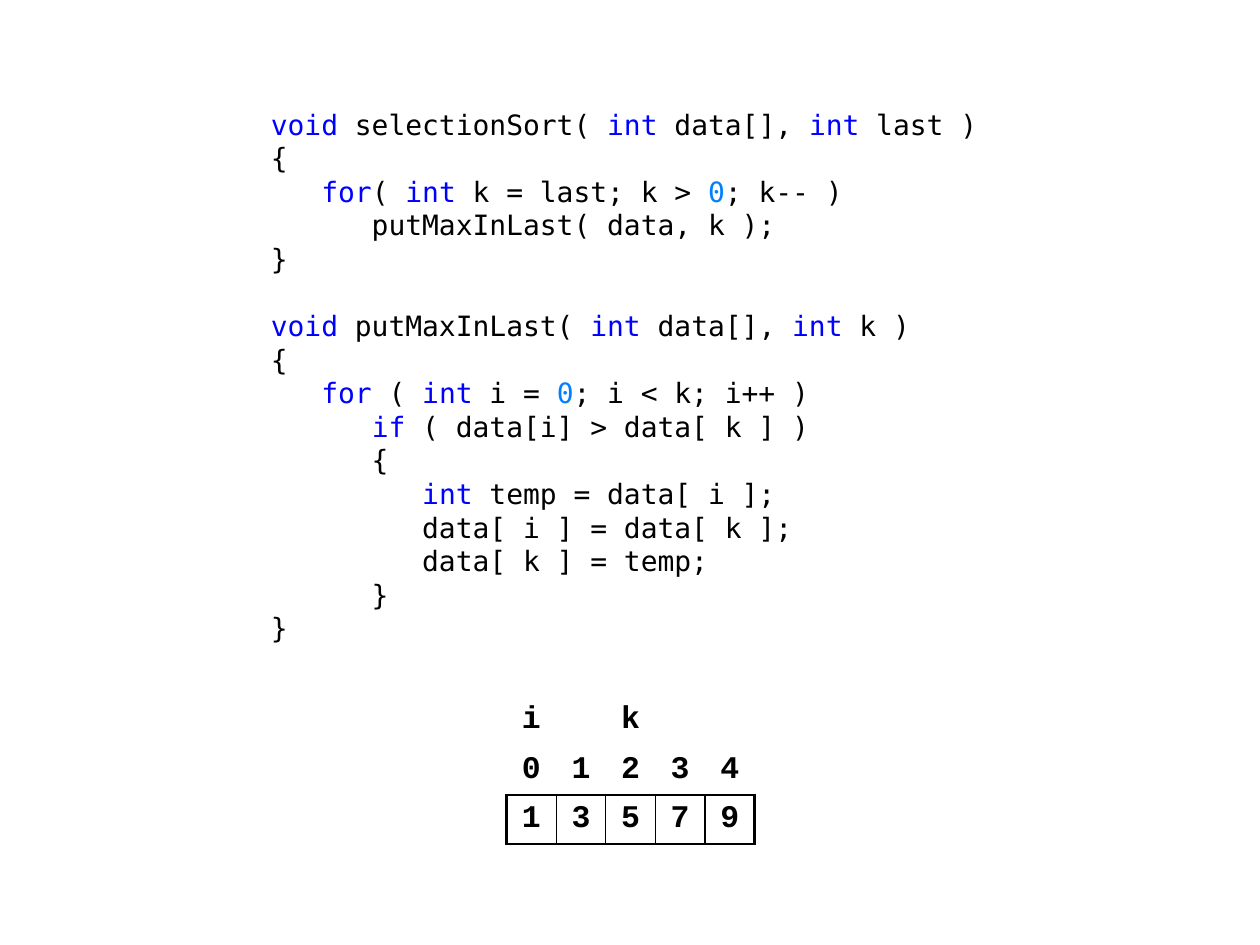
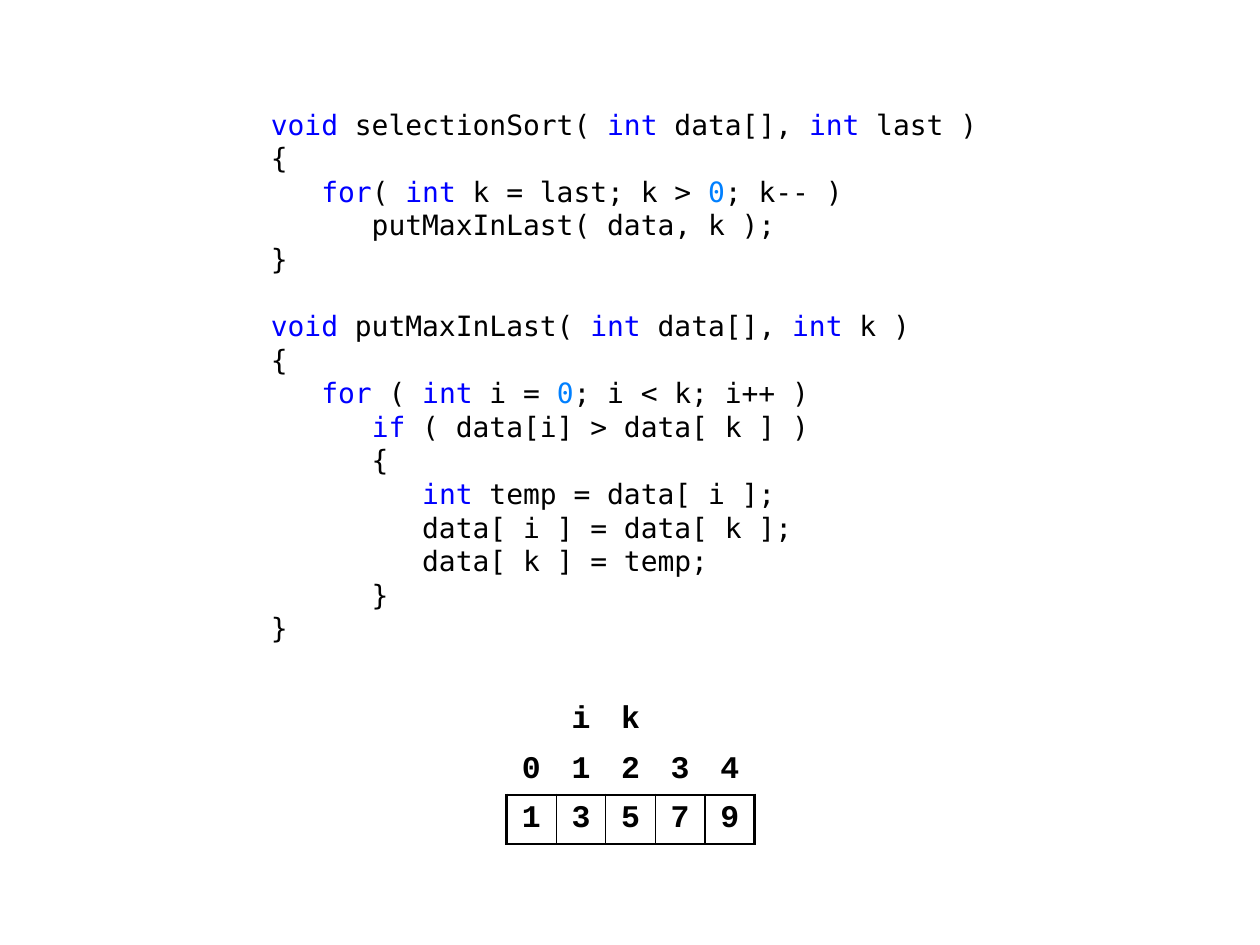
"""Build two steps of a selection sort trace, each with code above an array."""
from dataclasses import dataclass
from itertools import groupby

from lxml import etree
from pptx import Presentation
from pptx.dml.color import RGBColor
from pptx.enum.text import MSO_ANCHOR, MSO_AUTO_SIZE, PP_ALIGN
from pptx.oxml.ns import qn
from pptx.presentation import Presentation as Deck
from pptx.slide import Slide
from pptx.table import _Cell
from pptx.text.text import _Paragraph
from pptx.util import Inches, Pt

TOP, MIDDLE = MSO_ANCHOR.TOP, MSO_ANCHOR.MIDDLE
NO_AUTOFIT = MSO_AUTO_SIZE.NONE
LEFT, CENTER = PP_ALIGN.LEFT, PP_ALIGN.CENTER

BLACK = RGBColor(0x00, 0x00, 0x00)
WHITE = RGBColor(0xFF, 0xFF, 0xFF)
KEYWORD_BLUE = RGBColor(0x00, 0x00, 0xFF)
NUMBER_BLUE = RGBColor(0x00, 0x80, 0xFF)

CODE_FONT, ARRAY_FONT = "DejaVu Sans Mono", "Courier New"
CODE_SIZE, ARRAY_SIZE = Pt(16), Pt(18)
LINE_PITCH = Pt(19.2)
THICK, THIN = Pt(1.5), Pt(0.75)
KEYWORDS = {"void", "int", "for", "if"}

FUNCTIONS = (
    """void selectionSort( int data[], int last )
{
   for( int k = last; k > 0; k-- )
      putMaxInLast( data, k );
}""",
    """void putMaxInLast( int data[], int k )
{
   for ( int i = 0; i < k; i++ )
      if ( data[i] > data[ k ] )
      {
         int temp = data[ i ];
         data[ i ] = data[ k ];
         data[ k ] = temp;
      }
}""",
)


@dataclass(frozen=True)
class SortStep:
    """Values of the array and where its two indices stand."""

    i: int
    k: int
    values: tuple[int, ...] = (1, 3, 5, 7, 9)

    def rows(self) -> list[list[str]]:
        """Return the marker, index and value rows."""
        positions = range(len(self.values))
        markers = {self.i: "i", self.k: "k"}
        return [
            [markers.get(position, "") for position in positions],
            [str(position) for position in positions],
            [str(value) for value in self.values],
        ]


STEPS = (SortStep(i=0, k=2), SortStep(i=1, k=2))


def token_color(token: str) -> RGBColor:
    """Return the syntax colour of a token."""
    if token in KEYWORDS:
        return KEYWORD_BLUE
    return NUMBER_BLUE if token.isdigit() else BLACK


def write_code_line(paragraph: _Paragraph, line: str) -> None:
    """Add a line of code with one run per colour."""
    tokens = ["".join(group) for _, group in groupby(line, str.isalnum)]
    for color, group in groupby(tokens, token_color):
        run = paragraph.add_run()
        run.text = "".join(group)
        run.font.name = CODE_FONT
        run.font.size = CODE_SIZE
        run.font.color.rgb = color


def add_code(slide: Slide) -> None:
    """Fill the body placeholder with the functions."""
    body = slide.placeholders[1]
    body.left, body.top = Inches(2.05), Inches(0.8)
    body.width, body.height = Inches(5.91), Inches(4.33)
    frame = body.text_frame
    frame.auto_size = NO_AUTOFIT
    frame.word_wrap = True
    frame.vertical_anchor = TOP
    paragraph = frame.paragraphs[0]
    for function_number, function in enumerate(FUNCTIONS):
        for line_number, line in enumerate(function.splitlines()):
            if function_number or line_number:
                paragraph = frame.add_paragraph()
            properties = paragraph._p.get_or_add_pPr()
            properties.set("marL", "0")
            properties.set("indent", "0")
            etree.SubElement(properties, qn("a:buNone"))
            paragraph.alignment = LEFT
            paragraph.line_spacing = LINE_PITCH
            starts_later_function = function_number and not line_number
            paragraph.space_before = LINE_PITCH if starts_later_function else Pt(0)
            write_code_line(paragraph, line)


def set_borders(cell: _Cell, borders: dict[str, int]) -> None:
    """Draw the given sides of a cell and leave the others open."""
    properties = cell._tc.get_or_add_tcPr()
    for side in "LRTB":
        width = borders.get(side, 0)
        line = etree.SubElement(properties, qn(f"a:ln{side}"), w=str(int(width)))
        if width:
            fill = etree.SubElement(line, qn("a:solidFill"))
            etree.SubElement(fill, qn("a:srgbClr"), val=str(BLACK))
        else:
            etree.SubElement(line, qn("a:noFill"))


def write_array_cell(cell: _Cell, label: str) -> None:
    """Centre a bold label in a cell."""
    cell.vertical_anchor = MIDDLE
    cell.margin_left = cell.margin_right = Inches(0.1)
    cell.margin_top = cell.margin_bottom = Inches(0.04)
    paragraph = cell.text_frame.paragraphs[0]
    paragraph.alignment = CENTER
    if label:
        run = paragraph.add_run()
        run.text = label
        run.font.name = ARRAY_FONT
        run.font.size = ARRAY_SIZE
        run.font.bold = True
        run.font.color.rgb = BLACK


def add_array(slide: Slide, step: SortStep) -> None:
    """Add the array with its indices and markers above."""
    rows = step.rows()
    last_column = len(step.values) - 1
    array = slide.shapes.add_table(
        len(rows), len(step.values),
        Inches(4.02), Inches(5.52), Inches(1.97), Inches(1.18),
    ).table
    array.first_row = array.horz_banding = False
    value_row = len(rows) - 1
    for row_number, labels in enumerate(rows):
        for column, label in enumerate(labels):
            cell = array.cell(row_number, column)
            borders = {}
            if row_number == value_row:
                borders = {
                    "L": THIN if column else THICK,
                    "R": THIN if column < last_column else THICK,
                    "T": THICK,
                    "B": THICK,
                }
            elif row_number == value_row - 1:
                borders = {"B": THICK}
            set_borders(cell, borders)
            if row_number == value_row:
                cell.fill.solid()
                cell.fill.fore_color.rgb = WHITE
            else:
                cell.fill.background()
            write_array_cell(cell, label)


def add_step_slide(deck: Deck, step: SortStep) -> None:
    """Add a slide with the code and one state of the array."""
    slide = deck.slides.add_slide(deck.slide_layouts[1])
    title = slide.shapes.title.element
    title.getparent().remove(title)
    slide.background.fill.solid()
    slide.background.fill.fore_color.rgb = WHITE
    add_code(slide)
    add_array(slide, step)


def main() -> None:
    """Build and save the deck."""
    deck = Presentation()
    deck.slide_width, deck.slide_height = Inches(10), Inches(7.5)
    for step in STEPS:
        add_step_slide(deck, step)
    deck.save("out.pptx")


if __name__ == "__main__":
    main()
